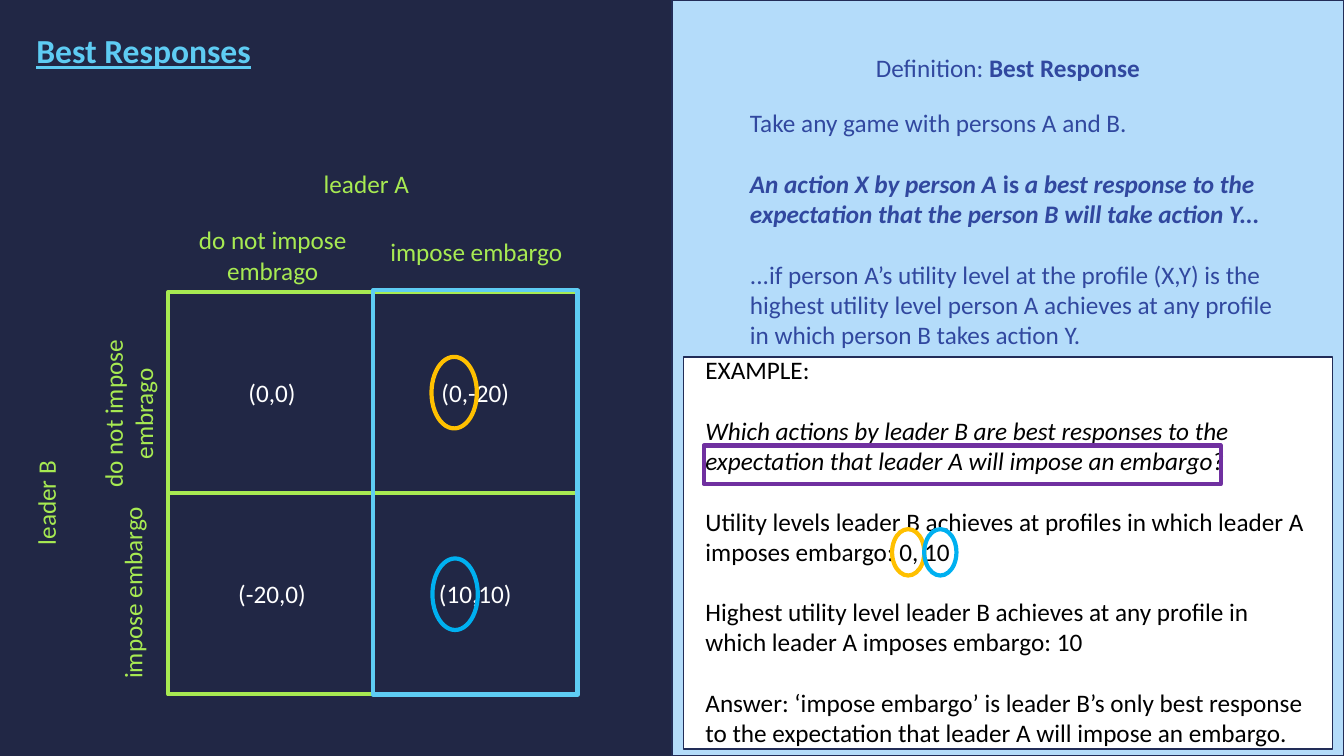
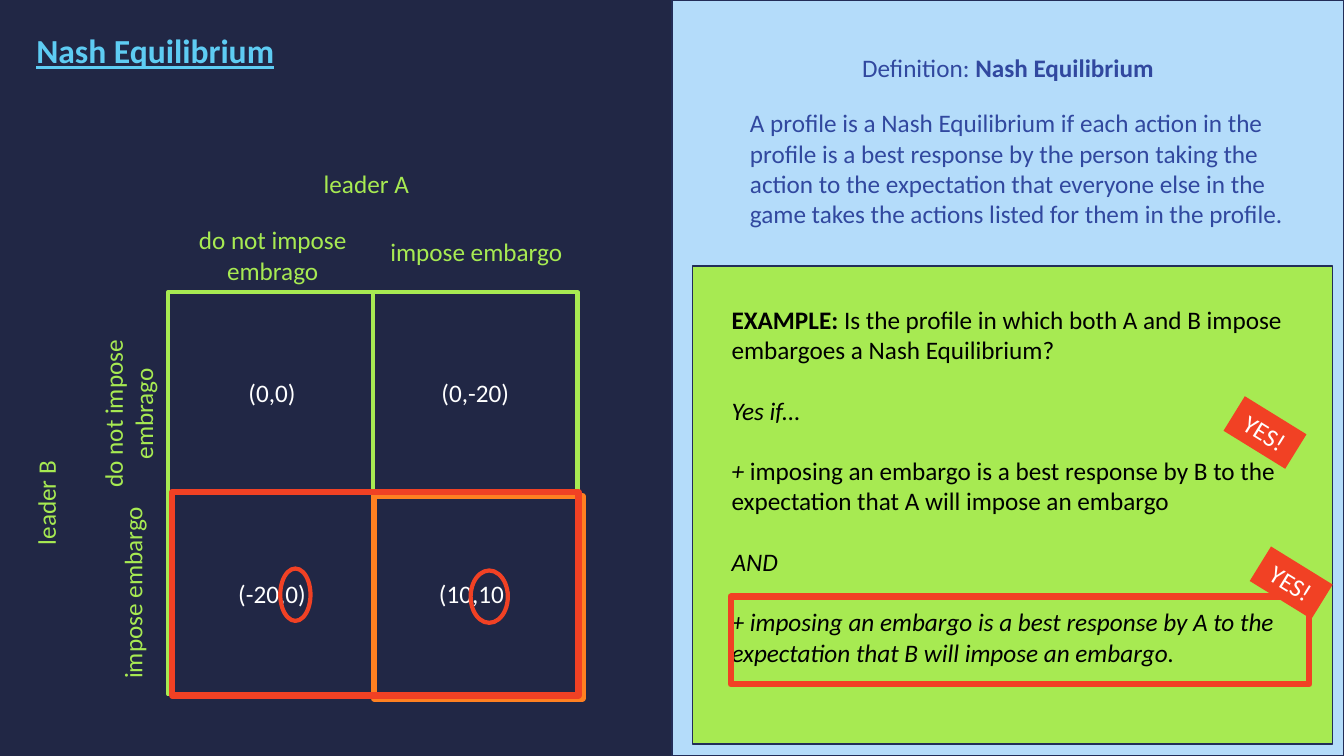
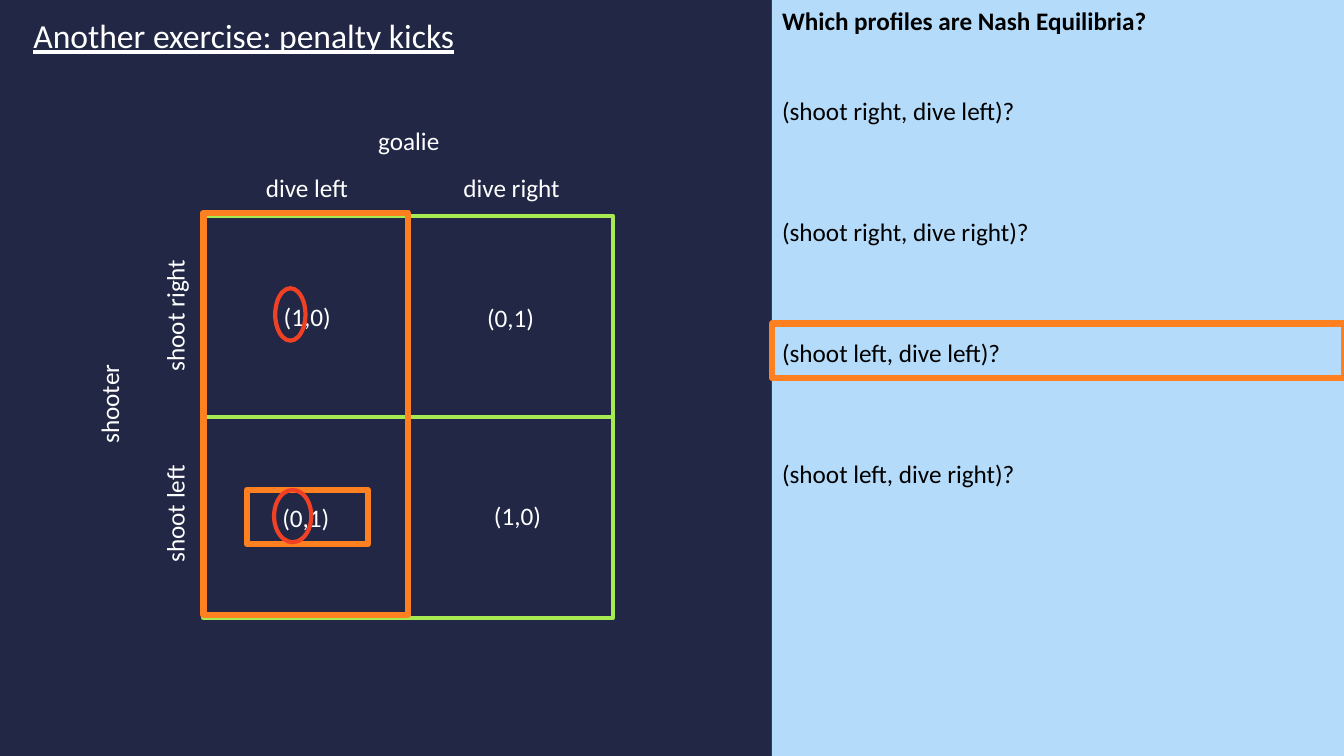
"""Build three slides on best responses and Nash equilibria."""
from dataclasses import dataclass
from typing import Any, NamedTuple

from lxml import etree
from pptx import Presentation
from pptx import util as u
from pptx.dml import color
from pptx.enum import shapes, text
from pptx.oxml import ns
from pptx.slide import Slide

FONT = "Calibri"
NAVY, EDGE, SKY, CYAN = "212745", "222D58", "B4DCFA", "5ECCF3"
LIME, WHITE, BLACK, INDIGO = "A7EA52", "FFFFFF", "000000", "31489F"
ORANGE, RED, AMBER, BLUE, PURPLE = "FF8021", "F14124", "FFC000", "00B0F0", "7030A0"
RECT, OVAL = shapes.MSO_SHAPE.RECTANGLE, shapes.MSO_SHAPE.OVAL
LEFT, CENTER = text.PP_ALIGN.LEFT, text.PP_ALIGN.CENTER
LINE = 21.6
LABEL_HEIGHT = 29


class Span(NamedTuple):
    words: str
    bold: bool = False
    italic: bool = False


class Area(NamedTuple):
    left: float
    top: float
    width: float
    height: float


class Mark(NamedTuple):
    kind: Any
    area: Area
    colour: str
    weight: float = 3


class Label(NamedTuple):
    words: str
    x: float
    y: float
    width: float
    height: float = LABEL_HEIGHT
    turn: float = 0


class Payoff(NamedTuple):
    words: str
    dx: float = 0
    dy: float = 0


@dataclass(frozen=True)
class Style:
    colour: str
    size: float = 18
    align: Any = LEFT
    gap: float = LINE
    underline: bool = False


@dataclass(frozen=True)
class Game:
    left: float
    top: float
    colour: str
    labels: tuple[Label, ...]
    payoffs: tuple[tuple[Payoff, ...], ...]
    width: float = 292.4
    height: float = 287.4


Lines = list[tuple[Span, ...]]

EMBARGO = Game(
    120.2, 208.6, LIME,
    (
        Label("leader A", 261.7, 131, 172),
        Label("do not impose embrago", 194.8, 182.5, 172, 51),
        Label("impose embargo", 340.2, 180, 172),
        Label("leader B", 32.8, 359.3, 172, turn=270),
        Label("do not impose embrago", 91.8, 295.6, 172, 51, 270),
        Label("impose embargo", 94.7, 423.4, 172, turn=270),
    ),
    ((Payoff("(0,0)", 1), Payoff("(0,-20)")), (Payoff("(-20,0)", 1), Payoff("(10,10)"))),
)
PENALTY = Game(
    145.4, 154.1, WHITE,
    (
        Label("goalie", 292, 100.8, 156),
        Label("dive left", 219.2, 133.9, 107),
        Label("dive right", 365.4, 133.9, 107),
        Label("shooter", 78.1, 288.7, 156, turn=270),
        Label("shoot right", 124.9, 225.4, 107, turn=270),
        Label("shoot left", 124.9, 367.2, 107, turn=270),
    ),
    ((Payoff("(1,0)", 1), Payoff("(0,1)", 0, 1)), (Payoff("(0,1)"), Payoff("(1,0)", 5, -1.5))),
)


def tint(fill: Any, colour: str) -> None:
    """Make a shape, line or font fill solid in a hex colour."""
    fill.solid()
    fill.fore_color.rgb = color.RGBColor.from_string(colour)


def place(box: Any, area: Area) -> None:
    """Move and size a shape, in points."""
    box.left, box.top, box.width, box.height = (u.Pt(value) for value in area)


def write(frame: Any, lines: Lines, style: Style, plain: bool = False) -> None:
    """Fill a text frame with paragraphs, optionally clearing inherited bullets."""
    for index, spans in enumerate(lines):
        para = frame.paragraphs[0] if index == 0 else frame.add_paragraph()
        if plain:
            props = para._p.get_or_add_pPr()
            props.set("marL", "0")
            props.set("indent", "0")
            etree.SubElement(props, ns.qn("a:buNone"))
        para.alignment = style.align
        para.space_before = u.Pt(style.gap if index else 0)
        para.font.name = FONT
        para.font.size = u.Pt(style.size)
        tint(para.font.fill, style.colour)
        if style.underline:
            para.font.underline = True
        runs = [para.add_run() for _ in spans]
        for run, span in zip(runs, spans):
            run.text = span.words
        for name in ("bold", "italic"):
            values = [getattr(span, name) for span in spans]
            agree = len(set(values)) == 1
            targets = [para] if agree else runs
            for target, value in zip(targets, values):
                setattr(target.font, name, value)


def add_text(page: Slide, area: Area, lines: Lines, style: Style, turn: float = 0) -> None:
    """Add a wrapping text box."""
    box = page.shapes.add_textbox(*(u.Pt(value) for value in area))
    box.rotation = turn
    box.text_frame.word_wrap = True
    box.text_frame.auto_size = text.MSO_AUTO_SIZE.SHAPE_TO_FIT_TEXT
    write(box.text_frame, lines, style)


def add_box(page: Slide, kind: Any, area: Area, fill: str = "", line: str = "", weight: float = 1) -> Any:
    """Add a preset shape with an optional fill and outline."""
    box = page.shapes.add_shape(kind, *(u.Pt(value) for value in area))
    box.shadow.inherit = False
    if fill:
        tint(box.fill, fill)
    else:
        box.fill.background()
    if line:
        tint(box.line.fill, line)
        box.line.width = u.Pt(weight)
    else:
        box.line.fill.background()
    return box


def add_marks(page: Slide, marks: list[Mark]) -> None:
    """Draw highlight outlines."""
    for mark in marks:
        add_box(page, mark.kind, mark.area, line=mark.colour, weight=mark.weight)


def add_label(page: Slide, label: Label, colour: str) -> None:
    """Add a text centred on the label's point."""
    area = Area(label.x - label.width / 2, label.y - label.height / 2, label.width, label.height)
    add_text(page, area, [(Span(label.words),)], Style(colour, align=CENTER), label.turn)


def add_game(page: Slide, game: Game) -> None:
    """Draw a two-by-two game with its labels and payoffs."""
    frame = add_box(page, RECT, Area(game.left, game.top, game.width, game.height), line=LIME, weight=3)
    for start, end in ((0, 2), (1, 3)):
        rule = page.shapes.add_connector(shapes.MSO_CONNECTOR.STRAIGHT, 0, 0, 0, 0)
        rule.begin_connect(frame, start)
        rule.end_connect(frame, end)
        tint(rule.line.fill, LIME)
        rule.line.width = u.Pt(3)
        etree.SubElement(rule._element.spPr, ns.qn("a:effectLst"))
    for label in game.labels:
        add_label(page, label, game.colour)
    for row, payoffs in enumerate(game.payoffs):
        for column, payoff in enumerate(payoffs):
            x = game.left + game.width * (column + 0.5) / 2 + payoff.dx
            y = game.top + game.height * (row + 0.5) / 2 + payoff.dy
            add_label(page, Label(payoff.words, x, y, 79.2), WHITE)


def start_page(deck: Any, title: Span, area: Area, colour: str) -> Slide:
    """Add a slide and set its underlined title."""
    page = deck.slides.add_slide(deck.slide_layouts[1])
    box = page.shapes.title
    place(box, area)
    frame = box.text_frame
    frame.word_wrap = True
    frame.auto_size = text.MSO_AUTO_SIZE.SHAPE_TO_FIT_TEXT
    frame.vertical_anchor = text.MSO_ANCHOR.TOP
    write(frame, [(title,)], Style(colour, 24, underline=True))
    return page


def fill_panel(page: Slide, area: Area, insets: tuple[float, float, float],
               lines: Lines, style: Style) -> Any:
    """Turn the body placeholder into the light side panel."""
    panel = page.placeholders[1]
    place(panel, area)
    tint(panel.fill, SKY)
    frame = panel.text_frame
    frame.word_wrap = True
    frame.auto_size = text.MSO_AUTO_SIZE.NONE
    frame.vertical_anchor = text.MSO_ANCHOR.TOP
    frame.margin_left, frame.margin_top, frame.margin_right = (u.Pt(value) for value in insets)
    write(frame, lines, style, plain=True)
    return panel


def start_definition(deck: Any, term: str, title: str, title_width: float, lines: Lines) -> Slide:
    """Start a slide with the embargo game and a definition panel."""
    page = start_page(deck, Span(title, True), Area(18.7, 18, title_width, 36), CYAN)
    panel = fill_panel(page, Area(480, 0, 480, 540), (55.7, 77, 38.2), lines, Style(INDIGO))
    tint(panel.line.fill, EDGE)
    panel.line.width = u.Pt(1)
    add_text(page, Area(568.8, 33.8, 302.4, LABEL_HEIGHT),
             [(Span("Definition: "), Span(term, True))], Style(INDIGO, align=CENTER))
    add_game(page, EMBARGO)
    return page


def build_best_responses(deck: Any) -> None:
    """Build the slide that defines a best response."""
    page = start_definition(deck, "Best Response", "Best Responses", 174.2, [
        (Span("Take any game with persons A and B."),),
        (
            Span("An action X by person A ", True, True),
            Span("is ", True),
            Span("a best response to the expectation that the person B will take action Y...", True, True),
        ),
        (Span("...if person A’s utility level at the profile (X,Y) is the highest utility level "
              "person A achieves at any profile in which person B takes action Y."),),
    ])
    add_box(page, RECT, Area(488.2, 254.9, 463.7, 280.1), WHITE, EDGE)
    add_text(page, Area(496.8, 249.8, 445, 290.9), [
        (Span("EXAMPLE:"),),
        (Span("Which actions by leader B are best responses to the expectation that "
              "leader A will impose an embargo?", italic=True),),
        (Span("Utility levels leader B achieves at profiles in which leader A imposes embargo: 0, 10"),),
        (Span("Highest utility level leader B achieves at any profile in which "
              "leader A imposes embargo: 10"),),
        (Span("Answer: ‘impose embargo’ is leader B’s only best response to the expectation that "
              "leader A will impose an embargo."),),
    ], Style(BLACK))
    add_marks(page, [
        Mark(RECT, Area(502.6, 318.2, 369.4, 27.4), PURPLE),
        Mark(RECT, Area(266.4, 207.4, 146.2, 288.7), CYAN),
        Mark(OVAL, Area(308.2, 254.9, 32.4, 51.1), AMBER),
        Mark(OVAL, Area(637.2, 378, 23, 33.1), AMBER),
        Mark(OVAL, Area(308.9, 398.9, 32.4, 51.1), BLUE),
        Mark(OVAL, Area(660.2, 378, 23, 33.1), BLUE),
    ])


def build_nash_equilibrium(deck: Any) -> None:
    """Build the slide that defines a Nash equilibrium."""
    page = start_definition(deck, "Nash Equilibrium", "Nash Equilibrium", 200.2, [
        (Span("A profile is a Nash Equilibrium if each action in the profile is a best response by "
              "the person taking the action to the expectation that everyone else in the game takes "
              "the actions listed for them in the profile."),),
    ])
    add_box(page, RECT, Area(494.6, 190.1, 457.2, 341.3), LIME, EDGE)
    add_text(page, Area(515.5, 213.8, 413.3, 269.3), [
        (
            Span("EXAMPLE: ", True),
            Span("Is the profile in which both A and B impose embargoes a Nash Equilibrium?"),
        ),
        (Span("Yes if...", italic=True),),
        (
            Span("+ ", italic=True),
            Span("imposing an embargo is a best response by B to the expectation that "
                 "A will impose an embargo"),
        ),
        (Span("AND", italic=True),),
        (Span("+ imposing an embargo is a best response by A to the expectation that "
              "B will impose an embargo.", italic=True),),
    ], Style(BLACK))
    add_marks(page, [
        Mark(RECT, Area(267.1, 354.2, 149, 144.7), ORANGE, 4.5),
        Mark(RECT, Area(522, 426.2, 413.3, 62.6), RED, 4.5),
        Mark(RECT, Area(123.1, 351.4, 290.2, 145.4), RED, 4.5),
        Mark(OVAL, Area(200.2, 406.1, 21.6, 37.4), RED),
        Mark(OVAL, Area(336.2, 407.5, 26.6, 37.4), RED),
    ])
    for left, top in ((877.7, 294.5), (896.4, 401.8)):
        stamp = add_box(page, RECT, Area(left, top, 51.8, LABEL_HEIGHT), RED)
        stamp.rotation = 31.7
        stamp.text_frame.word_wrap = False
        write(stamp.text_frame, [(Span("YES!"),)], Style(WHITE, align=CENTER))


def build_penalty_kicks(deck: Any) -> None:
    """Build the penalty kick exercise."""
    page = start_page(deck, Span("Another exercise: penalty kicks"), Area(16.6, 7.2, 370, 36), WHITE)
    panel = fill_panel(page, Area(551.4, 0, 408.6, 540), (7.2, 3.6, 7.2), [
        (Span("Which profiles are Nash Equilibria?", True),),
        (Span("(shoot right, dive left)?"),),
        (Span("(shoot right, dive right)?"),),
        (Span("(shoot left, dive left)?"),),
        (Span("(shoot left, dive right)?"),),
    ], Style(BLACK, gap=3 * LINE))
    panel.text_frame.paragraphs[1].space_before = u.Pt(2 * LINE)
    add_game(page, PENALTY)
    add_marks(page, [
        Mark(RECT, Area(551.4, 231.1, 408.6, 38.9), ORANGE, 4.5),
        Mark(RECT, Area(176.4, 349.9, 86.4, 38.9), ORANGE, 4.5),
        Mark(RECT, Area(145.4, 151.9, 146.2, 287.3), ORANGE, 4.5),
        Mark(OVAL, Area(196.6, 205.9, 21.6, 37.4), RED),
        Mark(OVAL, Area(195.8, 349.9, 26.6, 37.4), RED),
    ])


def main() -> None:
    """Build and save the deck."""
    deck = Presentation()
    deck.slide_width, deck.slide_height = u.Pt(960), u.Pt(540)
    tint(deck.slide_master.background.fill, NAVY)
    build_best_responses(deck)
    build_nash_equilibrium(deck)
    build_penalty_kicks(deck)
    deck.save("out.pptx")


if __name__ == "__main__":
    main()
